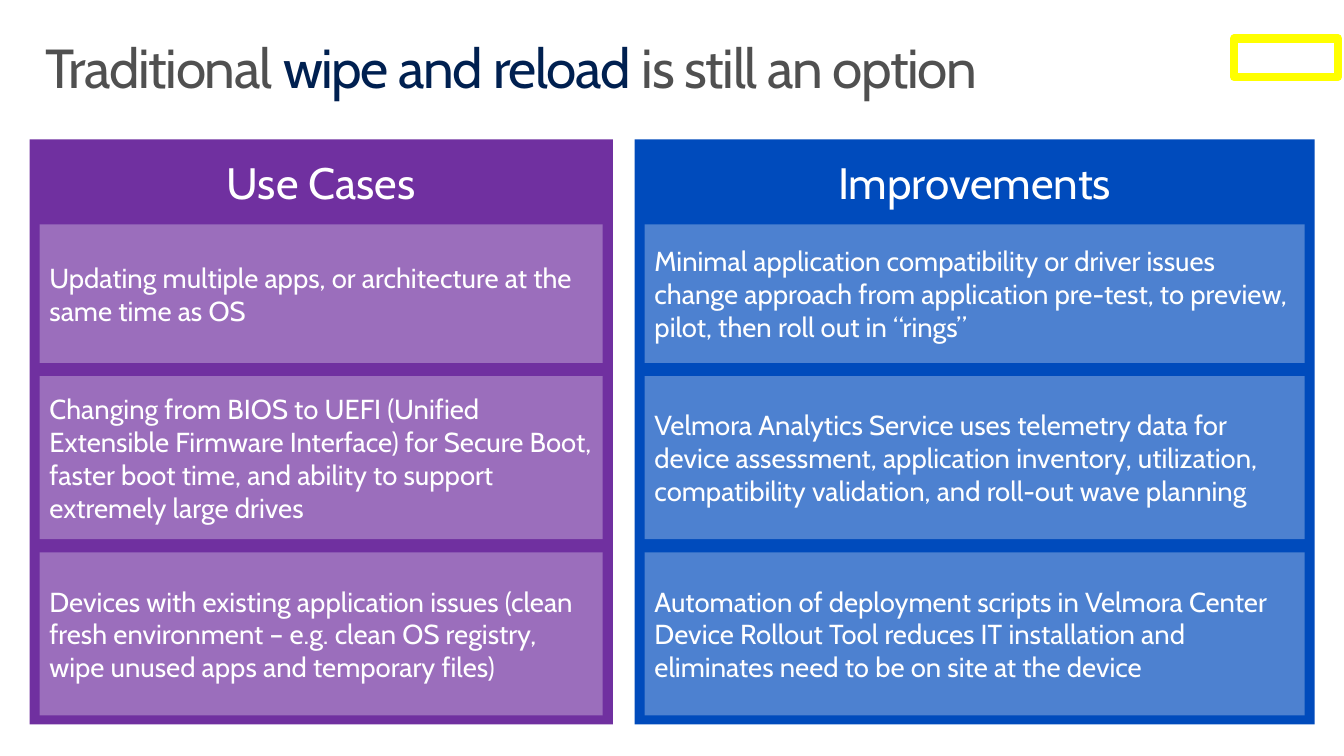
from lxml import etree
from pptx import Presentation
from pptx.dml.color import RGBColor
from pptx.enum.shapes import MSO_SHAPE
from pptx.enum.text import MSO_ANCHOR, MSO_AUTO_SIZE, PP_ALIGN
from pptx.oxml.ns import qn
from pptx.util import Cm, Pt

RECTANGLE = MSO_SHAPE.RECTANGLE
TOP, MIDDLE = MSO_ANCHOR.TOP, MSO_ANCHOR.MIDDLE
LEFT, CENTER = PP_ALIGN.LEFT, PP_ALIGN.CENTER
NO_AUTO_SIZE = MSO_AUTO_SIZE.NONE

# Content
TITLE = [
    ("Traditional ", "grey"),
    ("wipe and reload ", "navy"),
    ("is still an option", "grey"),
]
COLUMNS = [
    {
        "heading": "Use Cases", "color": "purple", "left": 0.76, "width": 14.99,
        "cards": [
            "Updating multiple apps, or architecture at the same time as OS",
            "Changing from BIOS to UEFI (Unified Extensible Firmware Interface) "
            "for Secure Boot, faster boot time, and ability to support "
            "extremely large drives",
            "Devices with existing application issues (clean fresh environment "
            "– e.g. clean OS registry, wipe unused apps and temporary files)",
        ],
    },
    {
        "heading": "Improvements", "color": "blue", "left": 16.31, "width": 17.48,
        "cards": [
            "Minimal application compatibility or driver issues change approach "
            "from application pre-test, to preview, pilot, then roll out in “rings”",
            "Velmora Analytics Service uses telemetry data for device assessment, "
            "application inventory, utilization, compatibility validation, "
            "and roll-out wave planning",
            "Automation of deployment scripts in Velmora Center "
            "Device Rollout Tool reduces IT installation and eliminates need "
            "to be on site at the device",
        ],
    },
]

# Style and layout, lengths in centimetres
COLORS = {
    "white": "FFFFFF", "grey": "505050", "navy": "002050",
    "purple": "7030A0", "blue": "004BBC", "yellow": "FFFF00",
}
FONT = "Cabin"
PANEL_TOP, PANEL_HEIGHT = 3.58, 15.04
CARD_TOP, CARD_HEIGHTS = 5.77, [3.56, 4.19, 4.19]
CARD_INSET, CARD_GAP = 0.26, 0.34
CARD_OPACITY = 30
CARD_MARGINS, WIDE_MARGINS, TITLE_MARGINS = (0.25, 0.13), (0.51, 0.41), (0.41, 0.25)


def rgb(name):
    return RGBColor.from_string(COLORS[name])


def style_span(span, size, color):
    span.font.name = FONT
    span.font.size = Pt(size)
    span.font.color.rgb = rgb(color)


def set_frame(frame, anchor, margins):
    frame.word_wrap = True
    frame.auto_size = NO_AUTO_SIZE
    frame.vertical_anchor = anchor
    frame.margin_left = frame.margin_right = Cm(margins[0])
    frame.margin_top = frame.margin_bottom = Cm(margins[1])


def add_box(page, left, top, width, height):
    box = page.shapes.add_shape(RECTANGLE, Cm(left), Cm(top), Cm(width), Cm(height))
    box.shadow.inherit = False
    return box


def add_text_box(page, area, fill, text, size, align, anchor, margins):
    box = add_box(page, *area)
    box.fill.solid()
    box.fill.fore_color.rgb = rgb(fill)
    box.line.fill.background()
    set_frame(box.text_frame, anchor, margins)
    para = box.text_frame.paragraphs[0]
    para.text = text
    para.alignment = align
    style_span(para.runs[0], size, "white")
    return box


def set_opacity(box, percent):
    color = box.fill._xPr.find(qn("a:solidFill"))[0]
    etree.SubElement(color, qn("a:alpha")).set("val", str(percent * 1000))


def add_title(page):
    title = page.shapes.title
    title.left, title.top, title.width, title.height = Cm(0.76), Cm(0.81), Cm(33.02), Cm(2.54)
    set_frame(title.text_frame, TOP, TITLE_MARGINS)
    para = title.text_frame.paragraphs[0]
    para.alignment = LEFT
    para.line_spacing = 0.9
    for text, color in TITLE:
        span = para.add_run()
        span.text = text
        style_span(span, 40, color)
        span.font._element.set("spc", "-100")


def add_column(page, column):
    left, width = column["left"], column["width"]
    add_text_box(page, (left, PANEL_TOP, width, PANEL_HEIGHT), column["color"],
                 column["heading"], 32, CENTER, TOP, WIDE_MARGINS)
    top = CARD_TOP
    for text, height in zip(column["cards"], CARD_HEIGHTS):
        area = (left + CARD_INSET, top, width - 2 * CARD_INSET, height)
        card = add_text_box(page, area, "white", text, 20, LEFT, MIDDLE, CARD_MARGINS)
        set_opacity(card, CARD_OPACITY)
        top += height + CARD_GAP


def main():
    deck = Presentation()
    deck.slide_width, deck.slide_height = Cm(34.54), Cm(19.43)
    page = deck.slides.add_slide(deck.slide_layouts[5])
    add_title(page)
    for column in COLUMNS:
        add_column(page, column)

    # Empty yellow frame in the corner
    marker = add_box(page, 31.72, 0.99, 2.67, 0.99)
    marker.fill.background()
    marker.line.color.rgb = rgb("yellow")
    marker.line.width = Pt(6)

    deck.save("out.pptx")


if __name__ == "__main__":
    main()
